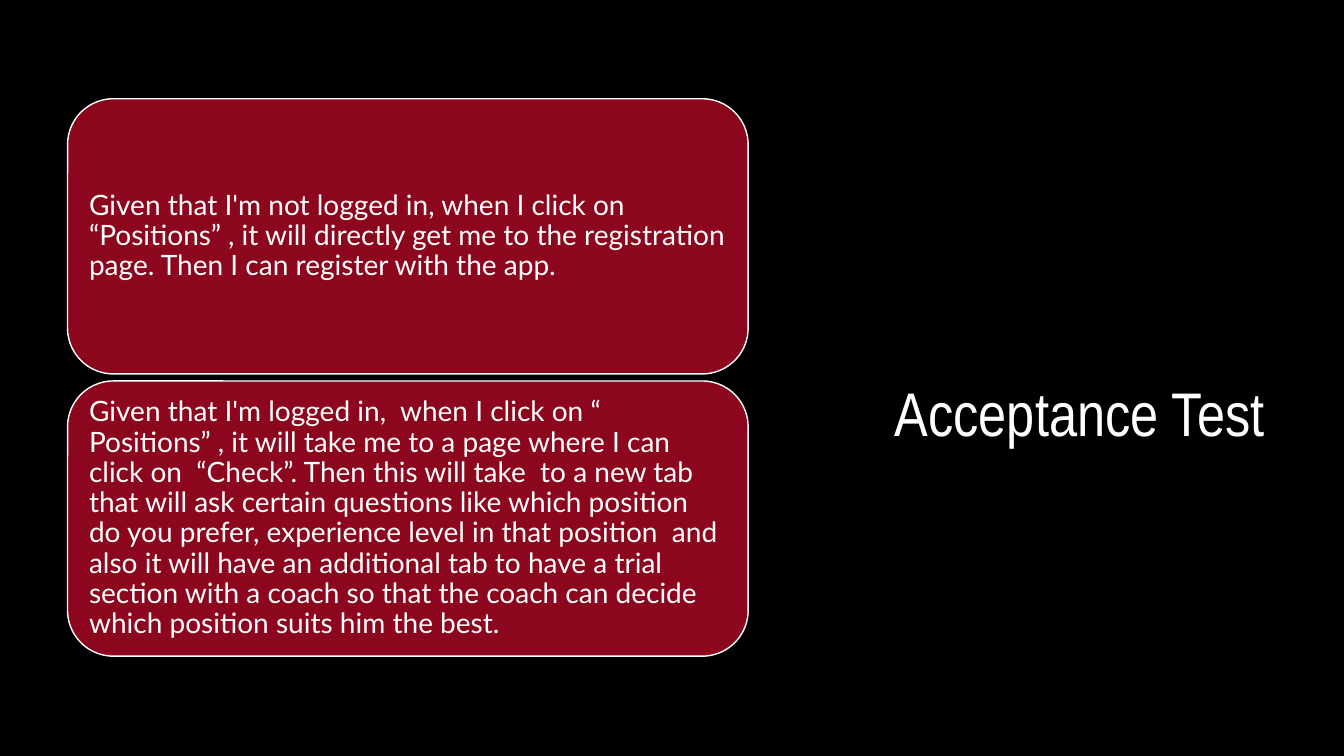
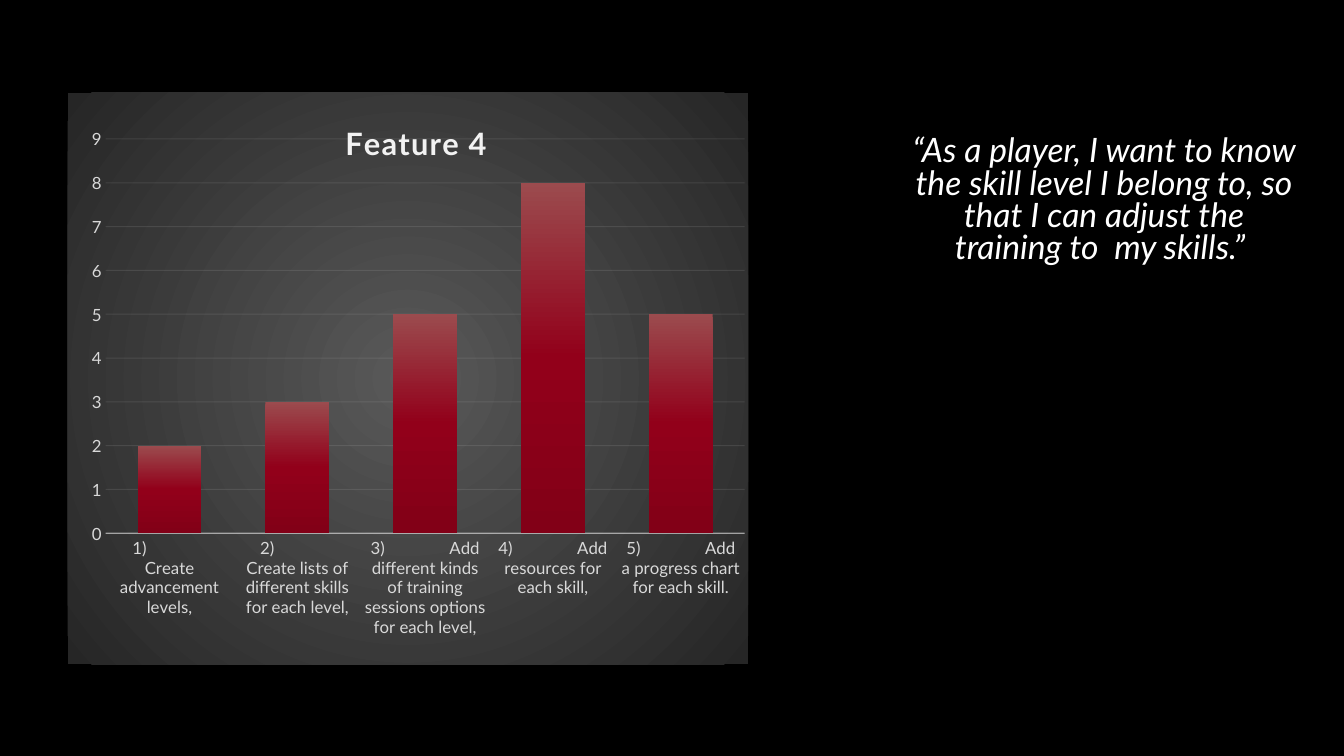
from lxml import etree
from pptx import Presentation
from pptx.chart.data import CategoryChartData as ChartData
from pptx.dml.color import RGBColor as RGB
from pptx.enum.chart import XL_CHART_TYPE as Kind, XL_TICK_MARK as Tick
from pptx.enum.shapes import MSO_SHAPE as Shape
from pptx.enum.text import MSO_ANCHOR as Anchor, MSO_AUTO_SIZE as Fit, PP_ALIGN as Align
from pptx.oxml import parse_xml
from pptx.oxml.ns import nsdecls, qn
from pptx.util import Inches, Pt

BLACK = RGB(0, 0, 0)
WHITE = RGB(255, 255, 255)
RED = RGB(0x8C, 0x06, 0x1E)
PALE = RGB(0xF2, 0xF2, 0xF2)
GREY = RGB(0xD9, 0xD9, 0xD9)
DIM = RGB(0x59, 0x59, 0x59)
DARK = RGB(0x26, 0x26, 0x26)
BAR = [(0, RGB(0x9B, 0x4B, 0x4E)), (50, RGB(0x92, 0x00, 0x1A)), (100, RGB(0x82, 0x00, 0x17))]
FONT = "Lato"
HEAD = "Arial Narrow"
LEFT, WIDE = 0.67, 6.75
GAP = chr(160) * 14
LINEAR = '<a:lin ang="5400000" scaled="0"/>'
RADIAL = '<a:path path="circle"><a:fillToRect l="50000" t="50000" r="50000" b="50000"/></a:path>'

TESTS = [
    "Given that I'm not logged in, when I click on “Positions” , it will directly get me "
    "to the registration page. Then I can register with the app.",
    "Given that I'm logged in,  when I click on “ Positions” , it will take me to a page "
    "where I can click on  “Check”. Then this will take  to a new tab that will ask "
    "certain questions like which position do you prefer, experience level in that "
    "position  and also it will have an additional tab to have a trial section with a "
    "coach so that the coach can decide which position suits him the best.",
]
STORY = ("“As a player, I want to know the skill level I belong to, so that I can adjust "
         "the training to  my skills.” ")
TASKS = [
    ("Create advancement levels,", 2),
    ("Create lists of different skills for each level,", 3),
    ("Add different kinds of training sessions options for each level,", 5),
    ("Add resources for each skill,", 8),
    ("Add a progress chart for each skill.", 5),
]


def style(font, size, color=WHITE, name=FONT):
    """Set the size, colour and face of a font."""
    font.size, font.name = Pt(size), name
    font.color.rgb = color


def write(shape, text, size, name=FONT, align=Align.LEFT, space=0.9, anchor=Anchor.TOP):
    """Fill a shape with one formatted paragraph and return its run."""
    frame = shape.text_frame
    frame.text = text
    frame.word_wrap, frame.auto_size = True, Fit.NONE
    frame.vertical_anchor = anchor
    para = frame.paragraphs[0]
    para.alignment, para.line_spacing = align, space
    para.space_before = Pt(0)
    run = para.runs[0]
    style(run.font, size, name=name)
    return run


def move(shape, left, top, width, height):
    """Place a shape, in inches."""
    shape.left, shape.top = Inches(left), Inches(top)
    shape.width, shape.height = Inches(width), Inches(height)


def add_card(slide, text, top):
    """Draw a rounded red card with its text."""
    card = slide.shapes.add_shape(
        Shape.ROUNDED_RECTANGLE, Inches(LEFT), Inches(top), Inches(WIDE), Inches(2.73))
    card.shadow.inherit = False
    card.fill.solid()
    card.fill.fore_color.rgb = RED
    card.line.color.rgb = WHITE
    card.line.width = Pt(1)
    write(card, text, 20, anchor=Anchor.MIDDLE)
    frame = card.text_frame
    frame.margin_left = frame.margin_right = Inches(0.08)
    frame.margin_top = frame.margin_bottom = Inches(0.08)


def add_story(slide, text):
    """Put the user story in the body placeholder without a bullet."""
    body = slide.placeholders[1]
    move(body, 8.95, 1.31, 4, 1.89)
    run = write(body, text, 24, align=Align.CENTER, space=0.8)
    run.font.italic = True
    props = body.text_frame.paragraphs[0]._p.get_or_add_pPr()
    props.set("marL", "0")
    props.set("indent", "0")
    etree.SubElement(props, qn("a:buNone"))


def blend(stops, path):
    """Build a gradient fill element."""
    marks = "".join(f'<a:gs pos="{pos * 1000}"><a:srgbClr val="{color}"/></a:gs>'
                    for pos, color in stops)
    return parse_xml(f'<a:gradFill {nsdecls("a")} rotWithShape="1">'
                     f'<a:gsLst>{marks}</a:gsLst>{path}</a:gradFill>')


def fade(node, alpha):
    """Make the colours inside a node partly transparent."""
    for color in node.iter(qn("a:srgbClr")):
        etree.SubElement(color, qn("a:alpha")).set("val", str(alpha * 1000))


def lay_out(node, spot, **vals):
    """Give a chart part a manual layout as fractions of the chart."""
    for old in node.findall(qn("c:layout")):
        node.remove(old)
    tags = "".join(f'<c:{key} val="{val}"/>' for key, val in vals.items())
    node.insert(spot, parse_xml(f'<c:layout {nsdecls("c")}><c:manualLayout>{tags}'
                                '</c:manualLayout></c:layout>'))


def set_line(line, width, color=PALE):
    """Colour a chart line."""
    line.color.rgb = color
    line.width = Pt(width)


def set_axes(chart):
    """Format both axes and the gridlines."""
    cats, vals = chart.category_axis, chart.value_axis
    for axis in (cats, vals):
        axis.major_tick_mark = axis.minor_tick_mark = Tick.NONE
        style(axis.tick_labels.font, 12, GREY)
    set_line(cats.format.line, 1)
    fade(cats._element.find(qn("c:spPr")), 54)
    vals.minimum_scale, vals.maximum_scale, vals.major_unit = 0, 9, 1
    vals.format.line.fill.background()
    set_line(vals.major_gridlines.format.line, 0.75)
    fade(vals._element.find(qn("c:majorGridlines")), 10)


def set_title(chart, text):
    """Write the chart title inside the plot."""
    frame = chart.chart_title.text_frame
    frame.text = text
    run = frame.paragraphs[0].runs[0]
    style(run.font, 22, PALE)
    run.font.bold = True
    run.font._element.set("spc", "100")
    lay_out(chart.chart_title._element, 1, xMode="edge", yMode="edge", x=0.4, y=0.04)


def add_bars(slide, title, tasks):
    """Add the column chart of task sizes."""
    data = ChartData()
    data.categories = [f"{num}){GAP} {task}" for num, (task, _) in enumerate(tasks, 1)]
    data.add_series("Series 1", [size for _, size in tasks])
    chart = slide.shapes.add_chart(
        Kind.COLUMN_CLUSTERED, Inches(LEFT), Inches(0.92), Inches(WIDE), Inches(5.67),
        data).chart
    style(chart.font, 10)
    chart.has_legend = False
    set_title(chart, title)
    set_axes(chart)
    plot = chart.plots[0]
    plot.gap_width, plot.overlap = 100, -24
    plot.vary_by_categories = False
    plot.series[0]._element.get_or_add_spPr().append(blend(BAR, LINEAR))
    space = chart._chartSpace
    back = parse_xml(f'<c:spPr {nsdecls("c", "a")}><a:ln><a:noFill/></a:ln></c:spPr>')
    back.insert(0, blend([(0, DIM), (100, DARK)], RADIAL))
    space.find(qn("c:chart")).addnext(back)
    lay_out(space.find(".//" + qn("c:plotArea")), 0, layoutTarget="inner",
            xMode="edge", yMode="edge", x=0.056, y=0.081, w=0.939, h=0.69)


def main():
    """Build and save the deck."""
    deck = Presentation()
    deck.slide_width, deck.slide_height = Inches(13.33), Inches(7.5)
    fill = deck.slide_master.background.fill
    fill.solid()
    fill.fore_color.rgb = BLACK

    tests = deck.slides.add_slide(deck.slide_layouts[5])
    head = tests.shapes.title
    move(head, 8.71, 2.18, 4, 2.33)
    write(head, "Acceptance Test", 44, HEAD, Align.CENTER, anchor=Anchor.BOTTOM)
    for row, text in enumerate(TESTS):
        add_card(tests, text, 0.98 + 2.8 * row)

    story = deck.slides.add_slide(deck.slide_layouts[1])
    empty = story.shapes.title._element
    empty.getparent().remove(empty)
    add_bars(story, "Feature 4", TASKS)
    add_story(story, STORY)
    deck.save("out.pptx")


if __name__ == "__main__":
    main()
